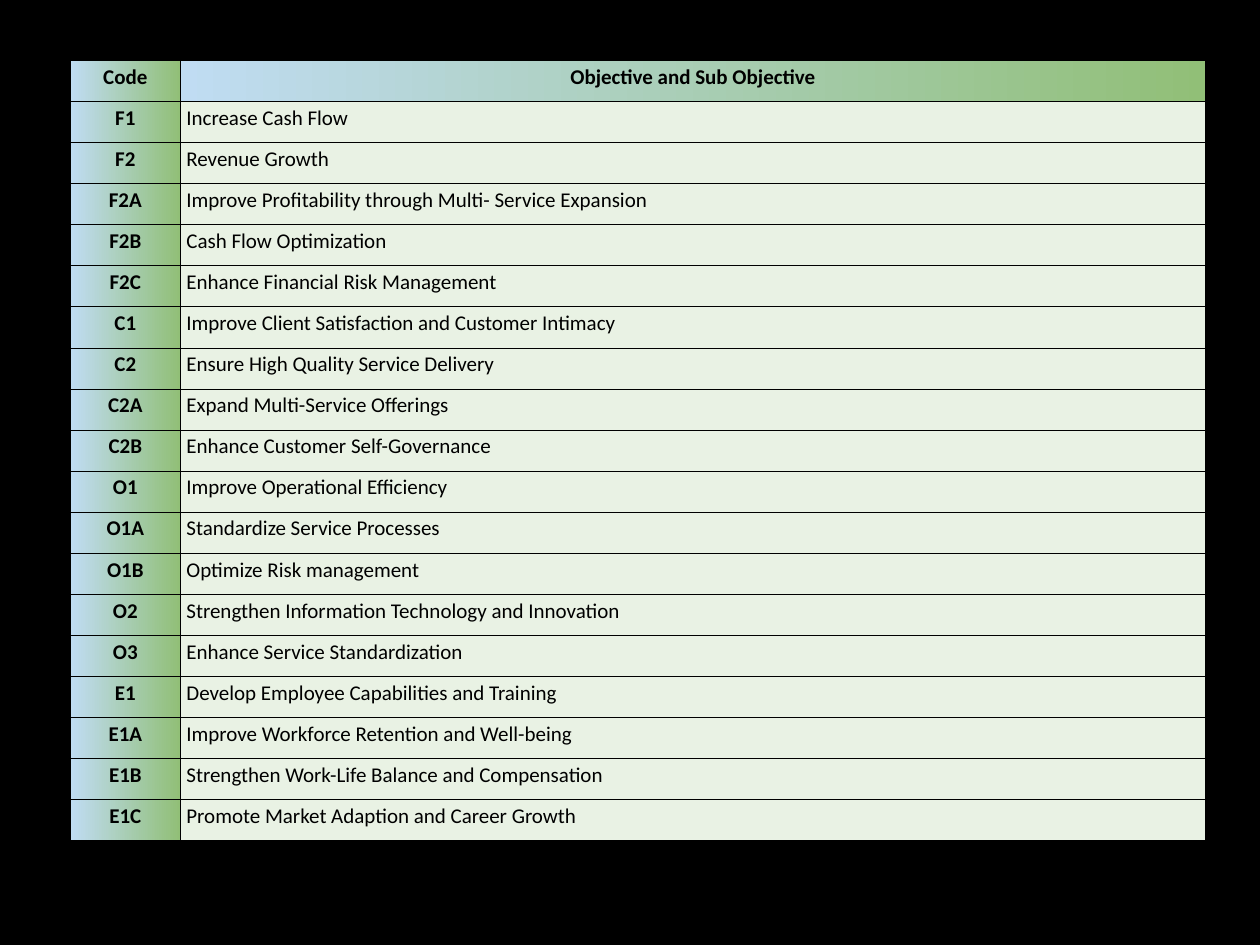
from lxml import etree
from pptx import Presentation
from pptx.dml.color import RGBColor
from pptx.enum.text import MSO_ANCHOR, PP_ALIGN
from pptx.oxml.ns import qn
from pptx.util import Inches, Pt

LEFT, CENTER = PP_ALIGN.LEFT, PP_ALIGN.CENTER
TOP = MSO_ANCHOR.TOP
BLACK = RGBColor(0x00, 0x00, 0x00)
BLUE = RGBColor(0xC0, 0xDC, 0xF3)
GREEN = RGBColor(0x91, 0xBF, 0x77)
PALE = RGBColor(0xE9, 0xF2, 0xE4)

GOALS = [
    ("Code", "Objective and Sub Objective"),
    ("F1", "Increase Cash Flow"),
    ("F2", "Revenue Growth"),
    ("F2A", "Improve Profitability through Multi- Service Expansion"),
    ("F2B", "Cash Flow Optimization"),
    ("F2C", "Enhance Financial Risk Management"),
    ("C1", "Improve Client Satisfaction and Customer Intimacy"),
    ("C2", "Ensure High Quality Service Delivery"),
    ("C2A", "Expand Multi-Service Offerings"),
    ("C2B", "Enhance Customer Self-Governance"),
    ("O1", "Improve Operational Efficiency"),
    ("O1A", "Standardize Service Processes"),
    ("O1B", "Optimize Risk management"),
    ("O2", "Strengthen Information Technology and Innovation"),
    ("O3", "Enhance Service Standardization"),
    ("E1", "Develop Employee Capabilities and Training"),
    ("E1A", "Improve Workforce Retention and Well-being"),
    ("E1B", "Strengthen Work-Life Balance and Compensation"),
    ("E1C", "Promote Market Adaption and Career Growth"),
]


def write(cell, text, bold=False, align=LEFT, size=12):
    cell.margin_left = cell.margin_right = Inches(0.05)
    cell.margin_top = cell.margin_bottom = Inches(0.03)
    cell.vertical_anchor = TOP
    para = cell.text_frame.paragraphs[0]
    para.alignment = align
    run = para.add_run()
    run.text = text
    run.font.name = "Calibri"
    run.font.size = Pt(size)
    run.font.bold = bold
    run.font.color.rgb = BLACK


def frame(cell, color, width=0.6):
    """Draw a line on all four sides; call before the cell is filled."""
    props = cell._tc.get_or_add_tcPr()
    for side in ("a:lnL", "a:lnR", "a:lnT", "a:lnB"):
        line = etree.SubElement(props, qn(side), w=str(Pt(width)))
        solid = etree.SubElement(line, qn("a:solidFill"))
        etree.SubElement(solid, qn("a:srgbClr"), val=str(color))


deck = Presentation()
deck.slide_width, deck.slide_height = Inches(10), Inches(7.5)
wide, high = deck.slide_width, deck.slide_height
slide = deck.slides.add_slide(deck.slide_layouts[6])
slide.background.fill.solid()
slide.background.fill.fore_color.rgb = BLACK

left, top = Inches(0.56), Inches(0.48)
code_w, goal_w = int(wide * 0.087), int(wide * 0.814)
row_h = int(high * 0.826 / len(GOALS))
grid = slide.shapes.add_table(
    len(GOALS), 2, left, top, code_w + goal_w, row_h * len(GOALS)).table
grid.columns[0].width, grid.columns[1].width = code_w, goal_w
grid.first_row = grid.horz_banding = False

for r, texts in enumerate(GOALS):
    grid.rows[r].height = row_h
    for c, text in enumerate(texts):
        cell = grid.cell(r, c)
        head = r == 0 or c == 0
        write(cell, text, bold=head, align=CENTER if head else LEFT)
        frame(cell, BLACK)
        if head:
            cell.fill.gradient()
            cell.fill.gradient_angle = 0
            for stop, color in zip(cell.fill.gradient_stops, (BLUE, GREEN)):
                stop.color.rgb = color
        else:
            cell.fill.solid()
            cell.fill.fore_color.rgb = PALE

deck.save("out.pptx")
